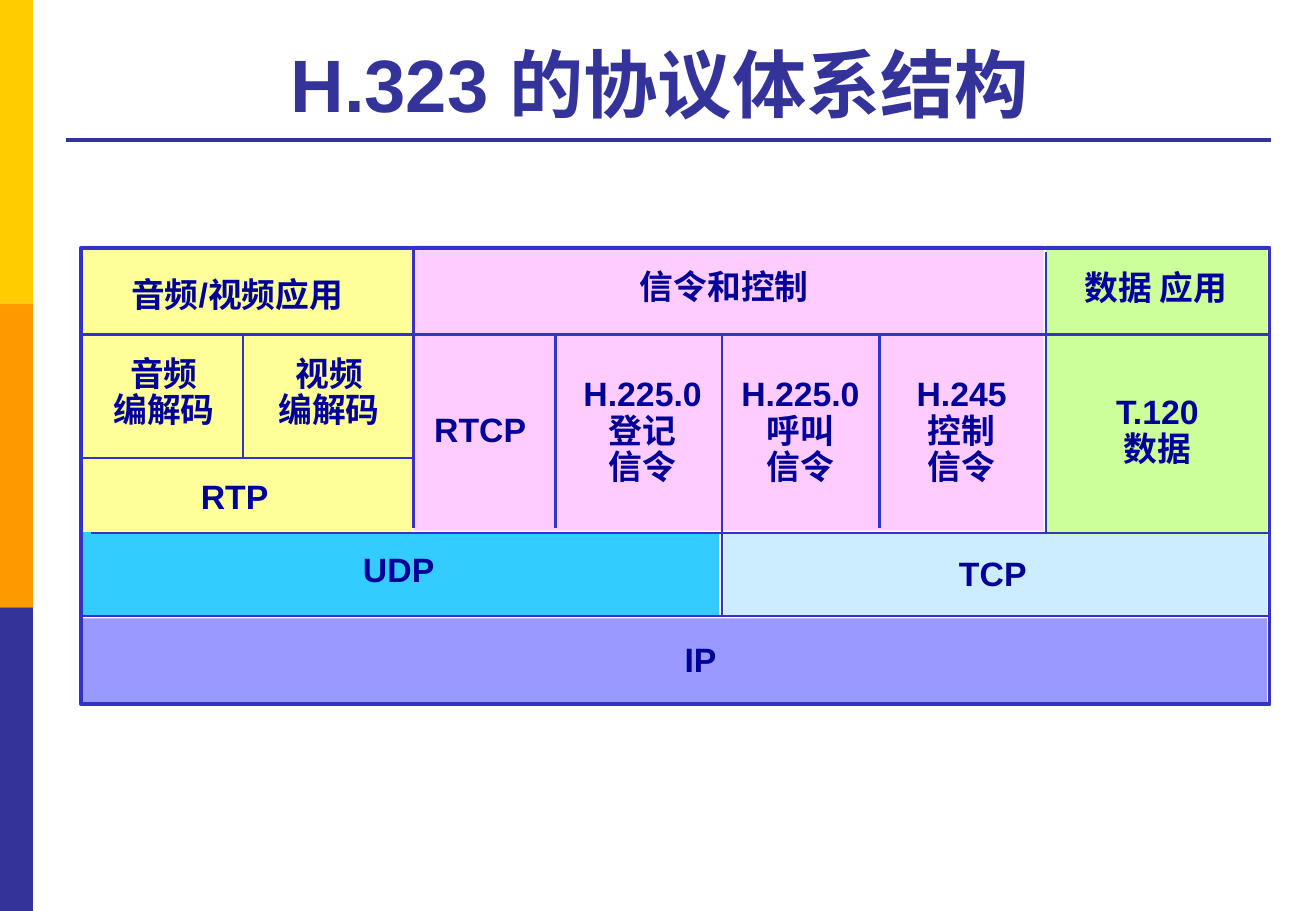
from dataclasses import dataclass
from typing import Optional

import lxml.etree
import pptx
import pptx.dml.color
import pptx.enum.shapes
import pptx.enum.text
import pptx.oxml.ns
import pptx.slide
import pptx.util

Cm = pptx.util.Cm
Align = pptx.enum.text.PP_ALIGN
Anchor = pptx.enum.text.MSO_ANCHOR


@dataclass(frozen=True)
class Theme:
    font: str = "Arial"
    title_size: float = 44
    label_size: float = 20
    heavy_line: float = 2.25
    thin_line: float = 1.5
    label_spacing: float = 0.9
    navy: str = "333399"
    gold: str = "FFCC00"
    orange: str = "FF9900"
    label: str = "000099"
    grid: str = "3333CC"
    media: str = "FFFF99"
    signalling: str = "FFCCFF"
    data: str = "CCFF99"
    udp: str = "33CCFF"
    tcp: str = "CCECFF"
    ip: str = "9999FF"


@dataclass(frozen=True)
class Block:
    left: float
    top: float
    width: float
    height: float
    fill: Optional[str] = None
    line: Optional[str] = None


@dataclass(frozen=True)
class Rule:
    x1: float
    y1: float
    x2: float
    y2: float
    color: str
    weight: float


@dataclass(frozen=True)
class Label:
    text: str
    left: float
    top: float
    width: float
    align: Align = Align.CENTER

    @property
    def height(self) -> float:
        return 0.35 + 0.74 * len(self.text.split("\n"))


THEME = Theme()
SLIDE_WIDTH, SLIDE_HEIGHT = 27.51, 19.05
BAND_HEIGHT = SLIDE_HEIGHT / 3

STACK_LEFT, STACK_RIGHT = 1.7, 26.57
STACK_TOP, FILL_TOP = 5.18, 5.13
APPLICATION_BOTTOM, CODEC_BOTTOM = 7.0, 9.58
TRANSPORT_TOP, IP_TOP = 11.15, 12.88
SHORT_DIVIDER_END = 11.05
CODEC_X, MEDIA_X, RTCP_X = 5.08, 8.64, 11.61
TRANSPORT_X, CALL_X, DATA_X = 15.09, 18.39, 21.87

BANDS = [
    Block(0, row * BAND_HEIGHT, 0.69, BAND_HEIGHT, color)
    for row, color in enumerate((THEME.gold, THEME.orange, THEME.navy))
]

LAYERS = [
    Block(STACK_LEFT, 12.93, 24.79, 1.78, THEME.ip),
    Block(15.14, TRANSPORT_TOP, 11.35, 1.75, THEME.tcp),
    Block(STACK_LEFT, 11.13, 13.34, 1.75, THEME.udp),
    Block(STACK_LEFT, FILL_TOP, 6.91, 5.99, THEME.media),
    Block(DATA_X, FILL_TOP, 4.62, 6.05, THEME.data),
    Block(MEDIA_X, FILL_TOP, 13.18, 5.97, THEME.signalling),
    Block(STACK_LEFT, STACK_TOP, 24.84, 9.55, line=THEME.grid),
]

TITLE_RULE = Rule(1.37, 2.92, 26.57, 2.92, THEME.navy, THEME.heavy_line)

ROW_DIVIDERS = [
    (STACK_LEFT, STACK_RIGHT, APPLICATION_BOTTOM),
    (STACK_LEFT, MEDIA_X, CODEC_BOTTOM),
    (1.9, STACK_RIGHT, TRANSPORT_TOP),
    (STACK_LEFT, STACK_RIGHT, IP_TOP),
]
COLUMN_DIVIDERS = [
    (CODEC_X, APPLICATION_BOTTOM, CODEC_BOTTOM),
    (MEDIA_X, STACK_TOP, SHORT_DIVIDER_END),
    (RTCP_X, APPLICATION_BOTTOM, SHORT_DIVIDER_END),
    (TRANSPORT_X, APPLICATION_BOTTOM, IP_TOP),
    (CALL_X, APPLICATION_BOTTOM, SHORT_DIVIDER_END),
    (DATA_X, 5.26, TRANSPORT_TOP),
]
DIVIDERS = [
    Rule(start, y, end, y, THEME.grid, THEME.thin_line) for start, end, y in ROW_DIVIDERS
] + [
    Rule(x, start, x, end, THEME.grid, THEME.thin_line) for x, start, end in COLUMN_DIVIDERS
]

LABELS = [
    Label("音频/视频应用", 2.49, 5.61, 6.6, Align.LEFT),
    Label("信令和控制", 13.11, 5.44, 4.06),
    Label("数据 应用", 22.38, 5.46, 3.58),
    Label("音频\n编解码", 2.11, 7.34, 2.64),
    Label("视频\n编解码", 5.56, 7.34, 2.64),
    Label("RTP", 3.94, 9.83, 1.93),
    Label("RTCP", 8.81, 8.43, 2.46),
    Label("H.225.0\n登记\n信令", 11.91, 7.77, 3.05),
    Label("H.225.0\n呼叫\n信令", 15.21, 7.77, 3.05),
    Label("H.245\n控制\n信令", 18.9, 7.77, 2.41),
    Label("T.120\n数据", 23.04, 8.15, 2.31),
    Label("UDP", 7.32, 11.35, 2.03),
    Label("TCP", 19.79, 11.43, 1.93),
    Label("IP", 14.05, 13.23, 1.19),
]


def rgb(color: str) -> pptx.dml.color.RGBColor:
    return pptx.dml.color.RGBColor.from_string(color)


def draw_block(slide: pptx.slide.Slide, block: Block) -> None:
    shape = slide.shapes.add_shape(
        pptx.enum.shapes.MSO_SHAPE.RECTANGLE,
        Cm(block.left), Cm(block.top), Cm(block.width), Cm(block.height),
    )
    shape.shadow.inherit = False
    if block.fill:
        shape.fill.solid()
        shape.fill.fore_color.rgb = rgb(block.fill)
    else:
        shape.fill.background()
    if block.line:
        shape.line.color.rgb = rgb(block.line)
        shape.line.width = pptx.util.Pt(THEME.heavy_line)
    else:
        shape.line.fill.background()


def draw_rule(slide: pptx.slide.Slide, rule: Rule) -> None:
    connector = slide.shapes.add_connector(
        pptx.enum.shapes.MSO_CONNECTOR.STRAIGHT,
        Cm(rule.x1), Cm(rule.y1), Cm(rule.x2), Cm(rule.y2),
    )
    connector.line.color.rgb = rgb(rule.color)
    connector.line.width = pptx.util.Pt(rule.weight)
    lxml.etree.SubElement(connector._element.spPr, pptx.oxml.ns.qn("a:effectLst"))


def draw_text(
    slide: pptx.slide.Slide, label: Label, height: float, size: float,
    color: str, anchor: Anchor, wrap: bool,
) -> None:
    box = slide.shapes.add_textbox(
        Cm(label.left), Cm(label.top), Cm(label.width), Cm(height)
    )
    frame = box.text_frame
    frame.word_wrap = wrap
    frame.vertical_anchor = anchor
    frame.text = label.text
    for paragraph in frame.paragraphs:
        paragraph.alignment = label.align
        if len(frame.paragraphs) > 1:
            paragraph.line_spacing = THEME.label_spacing
        paragraph.font.name = THEME.font
        paragraph.font.size = pptx.util.Pt(size)
        paragraph.font.bold = True
        paragraph.font.color.rgb = rgb(color)


def main() -> None:
    presentation = pptx.Presentation()
    presentation.slide_width = Cm(SLIDE_WIDTH)
    presentation.slide_height = Cm(SLIDE_HEIGHT)
    slide = presentation.slides.add_slide(presentation.slide_layouts[6])
    for block in BANDS + LAYERS:
        draw_block(slide, block)
    for rule in [TITLE_RULE] + DIVIDERS:
        draw_rule(slide, rule)
    title = Label("H.323 的协议体系结构 ", 1.4, 0.53, 25.15)
    draw_text(slide, title, 2.26, THEME.title_size, THEME.navy, Anchor.BOTTOM, True)
    for label in LABELS:
        wrap = label.align == Align.LEFT
        draw_text(slide, label, label.height, THEME.label_size, THEME.label, Anchor.TOP, wrap)
    presentation.save("out.pptx")


if __name__ == "__main__":
    main()
